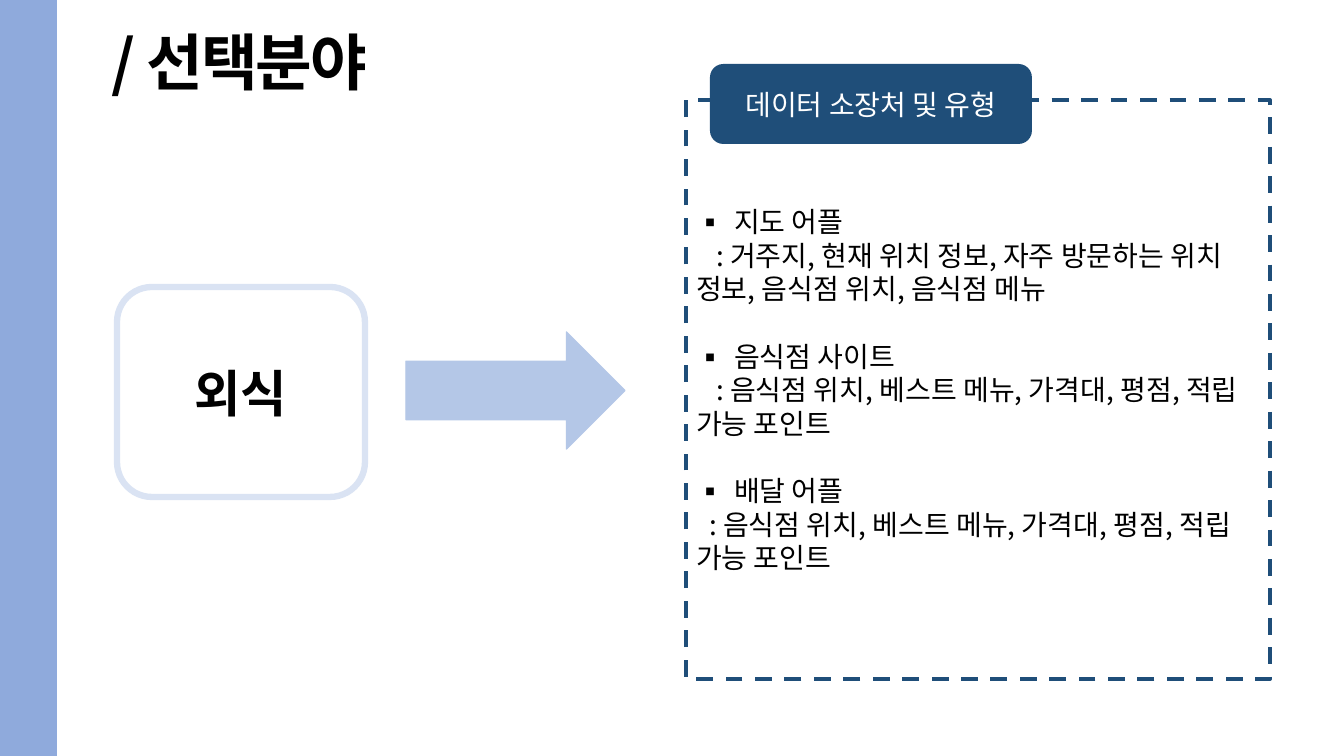
"""Builds the slide on the chosen field and its data sources."""
import pptx
import pptx.dml.color
import pptx.enum.dml
import pptx.enum.shapes
import pptx.enum.text
import pptx.util
from lxml import etree

COLORS = {"navy": "1F4E79", "bar": "8FAADC", "pale": "DAE3F3",
          "arrow": "B4C7E7", "white": "FFFFFF", "black": "000000"}
FONT = "Noto Sans CJK KR"
SCALE = 914400 / 100.8
SHAPE = pptx.enum.shapes.MSO_SHAPE
ALIGN = pptx.enum.text.PP_ALIGN
ANCHOR = pptx.enum.text.MSO_ANCHOR
SOURCES = [
    ("지도 어플", 20, ": 거주지, 현재 위치 정보, 자주 방문하는 위치 정보, 음식점 위치, 음식점 메뉴"),
    ("음식점 사이트", 20, ": 음식점 위치, 베스트 메뉴, 가격대, 평점, 적립 가능 포인트"),
    ("배달 어플", 13, ": 음식점 위치, 베스트 메뉴, 가격대, 평점, 적립 가능 포인트"),
]


def px(n):
    """Turn pixels into EMU."""
    return pptx.util.Emu(round(n * SCALE))


def rgb(name):
    """Return a named colour."""
    return pptx.dml.color.RGBColor.from_string(COLORS[name])


def set_attrs(obj, values):
    """Set each attribute of obj from a dict."""
    for name, value in values.items():
        setattr(obj, name, value)


def place(sp, box):
    """Move and size a shape to a pixel box."""
    set_attrs(sp, dict(zip(("left", "top", "width", "height"), map(px, box))))


def paint(sp, fill, line=None, width=1):
    """Give a shape its fill and outline."""
    sp.fill.solid()
    sp.fill.fore_color.rgb = rgb(fill)
    if line:
        sp.line.color.rgb = rgb(line)
        sp.line.width = pptx.util.Pt(width)
    else:
        sp.line.fill.background()


def write(p, text, size, color="black", bold=False, align=ALIGN.LEFT):
    """Write one formatted run into a paragraph."""
    p.alignment = align
    r = p.add_run()
    r.text = text
    set_attrs(r.font, {"size": pptx.util.Pt(size), "bold": bold, "name": FONT})
    r.font.color.rgb = rgb(color)
    rpr = r.font._element
    ea = etree.SubElement(rpr, pptx.oxml.ns.qn("a:ea"))
    ea.set("typeface", FONT)
    return r


def set_bullet(p, indent, first, char=None):
    """Set indents in pixels and a bullet or none."""
    ppr = p._p.get_or_add_pPr()
    ppr.set("marL", str(px(indent)))
    ppr.set("indent", str(px(first)))
    if char:
        etree.SubElement(ppr, pptx.oxml.ns.qn("a:buFont")).set("typeface", FONT)
        etree.SubElement(ppr, pptx.oxml.ns.qn("a:buChar")).set("char", char)
    else:
        etree.SubElement(ppr, pptx.oxml.ns.qn("a:buNone"))


def add_box(slide, kind, box, fill, line=None, width=1, label=None):
    """Add a preset shape, with a centred label if given."""
    sp = slide.shapes.add_shape(kind, *map(px, box))
    sp.shadow.inherit = False
    paint(sp, fill, line, width)
    if label:
        tf = sp.text_frame
        set_attrs(tf, {"word_wrap": True, "vertical_anchor": ANCHOR.MIDDLE})
        write(tf.paragraphs[0], align=ALIGN.CENTER, **label)
    return sp


def fill_title(sp):
    """Format the title placeholder."""
    place(sp, (101, 18, 768, 85))
    tf = sp.text_frame
    set_attrs(tf, {"word_wrap": True, "vertical_anchor": ANCHOR.MIDDLE})
    r = write(tf.paragraphs[0], "/ 선택분야", 44, bold=True)
    r.font._element.set("spc", "-150")


def fill_sources(sp):
    """Format the body placeholder as the dashed list of sources."""
    place(sp, (686, 100, 584, 579))
    paint(sp, "white", "navy", 3)
    sp.line.dash_style = pptx.enum.dml.MSO_LINE.DASH
    tf = sp.text_frame
    set_attrs(tf, {"word_wrap": True, "vertical_anchor": ANCHOR.MIDDLE,
                   "auto_size": pptx.enum.text.MSO_AUTO_SIZE.NONE})
    for i, (name, first, detail) in enumerate(SOURCES):
        head = tf.add_paragraph() if i else tf.paragraphs[0]
        body = tf.add_paragraph()
        for p, gap in ((head, 24 if i else 0), (body, 0)):
            set_attrs(p, {"line_spacing": pptx.util.Pt(24),
                          "space_before": pptx.util.Pt(gap),
                          "space_after": pptx.util.Pt(0)})
        set_bullet(head, 38, -38, "▪")
        set_bullet(body, 0, first)
        write(head, name, 20)
        write(body, detail, 20)


def main():
    """Build and save the slide."""
    prs = pptx.Presentation()
    set_attrs(prs, {"slide_width": px(1344), "slide_height": px(756)})
    slide = prs.slides.add_slide(prs.slide_layouts[1])
    fill_title(slide.shapes.title)
    fill_sources(slide.placeholders[1])
    add_box(slide, SHAPE.RECTANGLE, (0, 0, 57, 756), "bar")
    add_box(slide, SHAPE.ROUNDED_RECTANGLE, (117, 287, 248, 210), "white", "pale", 4.5,
            {"text": "외식", "size": 36, "bold": True})
    add_box(slide, SHAPE.RIGHT_ARROW, (406, 332, 219, 117), "arrow", "arrow")
    add_box(slide, SHAPE.ROUNDED_RECTANGLE, (710, 64, 322, 80), "navy",
            label={"text": "데이터 소장처 및 유형", "size": 20, "color": "white"})
    prs.save("out.pptx")


main()
